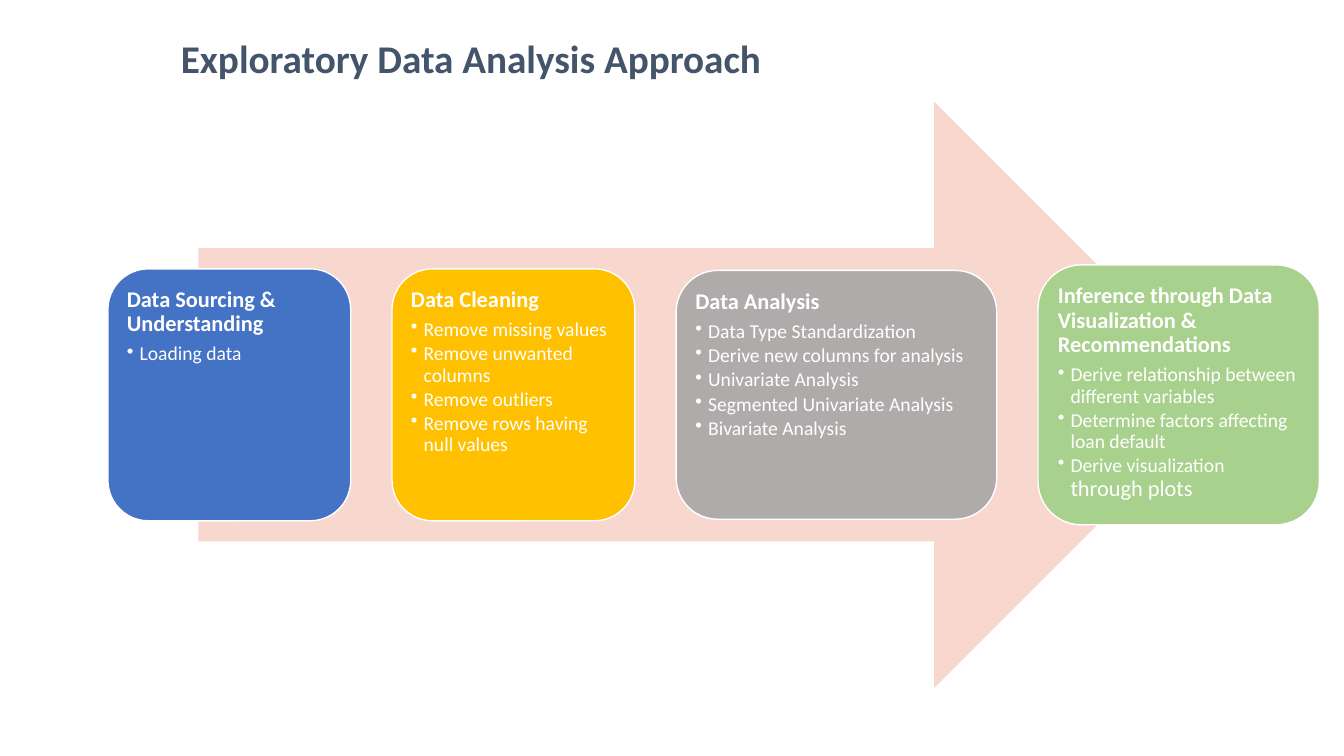
from lxml import etree
from pptx import Presentation
from pptx.dml.color import RGBColor
from pptx.enum.shapes import MSO_SHAPE
from pptx.enum.text import MSO_ANCHOR, PP_ALIGN
from pptx.oxml.ns import qn
from pptx.util import Cm, Pt

ARROW = MSO_SHAPE.RIGHT_ARROW
ROUND = MSO_SHAPE.ROUNDED_RECTANGLE
TOP, MIDDLE = MSO_ANCHOR.TOP, MSO_ANCHOR.MIDDLE
LEFT = PP_ALIGN.LEFT

MID = 9.95  # height of the shared centre line, cm
GAP = 1.04
HEAD = {"size": Pt(16), "bold": True}
ITEM = {"size": Pt(14), "bold": False}
FRAME = {"word_wrap": True, "vertical_anchor": TOP, "margin_left": Cm(0.18),
         "margin_right": Cm(0.18), "margin_top": Cm(0.18), "margin_bottom": Cm(0.18)}

# fill, width, height, heading, items
STEPS = [
    ("4472C4", 6.12, 6.35, "Data Sourcing & Understanding", ["Loading data"]),
    ("FFC000", 6.12, 6.35, "Data Cleaning",
     ["Remove missing values", "Remove unwanted columns", "Remove outliers",
      "Remove rows having null values"]),
    ("AFABAB", 8.08, 6.27, "Data Analysis",
     ["Data Type Standardization", "Derive new columns for analysis",
      "Univariate Analysis", "Segmented Univariate Analysis", "Bivariate Analysis"]),
    ("A9D18E", 7.09, 6.55, "Inference through Data Visualization & Recommendations",
     ["Derive relationship between different variables",
      "Determine factors affecting loan default", "Derive visualization"]),
]


def color(text):
    return RGBColor.from_string(text)


def write(para, text, hue, form):
    """Add a run to the paragraph, set in the given colour and format."""
    run = para.add_run()
    run.text = text
    run.font.name = "Calibri"
    run.font.color.rgb = color(hue)
    for name, value in form.items():
        setattr(run.font, name, value)


deck = Presentation()
deck.slide_width, deck.slide_height = Cm(33.87), Cm(19.05)
slide = deck.slides.add_slide(deck.slide_layouts[6])
shapes = slide.shapes

# Title
title = shapes.add_textbox(Cm(3.96), Cm(0.18), Cm(25.88), Cm(2.39)).text_frame
for name, value in {"word_wrap": True, "vertical_anchor": MIDDLE,
                    "margin_left": Cm(0.6), "margin_top": Cm(0.44)}.items():
    setattr(title, name, value)
para = title.paragraphs[0]
para.line_spacing = 0.9
write(para, "Exploratory Data Analysis Approach", "44546A", {"size": Pt(28), "bold": True})

# Arrow behind the steps
high = 14.78
arrow = shapes.add_shape(ARROW, Cm(5), Cm(MID - high / 2), Cm(25.93), Cm(high))
arrow.shadow.inherit = False
arrow.fill.solid()
arrow.fill.fore_color.rgb = color("F8D7CE")
arrow.line.fill.background()

# Steps
left = 2.72
for fill, wide, high, head, items in STEPS:
    box = shapes.add_shape(ROUND, Cm(left), Cm(MID - high / 2), Cm(wide), Cm(high))
    left += wide + GAP
    box.shadow.inherit = False
    box.fill.solid()
    box.fill.fore_color.rgb = color(fill)
    box.line.color.rgb = color("FFFFFF")
    box.line.width = Pt(1)
    frame = box.text_frame
    for name, value in FRAME.items():
        setattr(frame, name, value)
    para = frame.paragraphs[0]
    for name, value in {"alignment": LEFT, "line_spacing": 0.9, "space_after": Pt(5.6)}.items():
        setattr(para, name, value)
    write(para, head, "FFFFFF", HEAD)
    for item in items:
        para = frame.add_paragraph()
        for name, value in {"alignment": LEFT, "level": 1, "line_spacing": 0.9,
                            "space_after": Pt(2.1)}.items():
            setattr(para, name, value)
        props = para._p.get_or_add_pPr()
        props.set("marL", str(Cm(0.32)))
        props.set("indent", str(-Cm(0.32)))
        etree.SubElement(props, qn("a:buChar")).set("char", "•")
        write(para, item, "FFFFFF", ITEM)

# The last item ends in a larger size on its own line
para.add_line_break()
write(para, "through plots", "FFFFFF", {"size": Pt(16), "bold": False})

deck.save("out.pptx")
